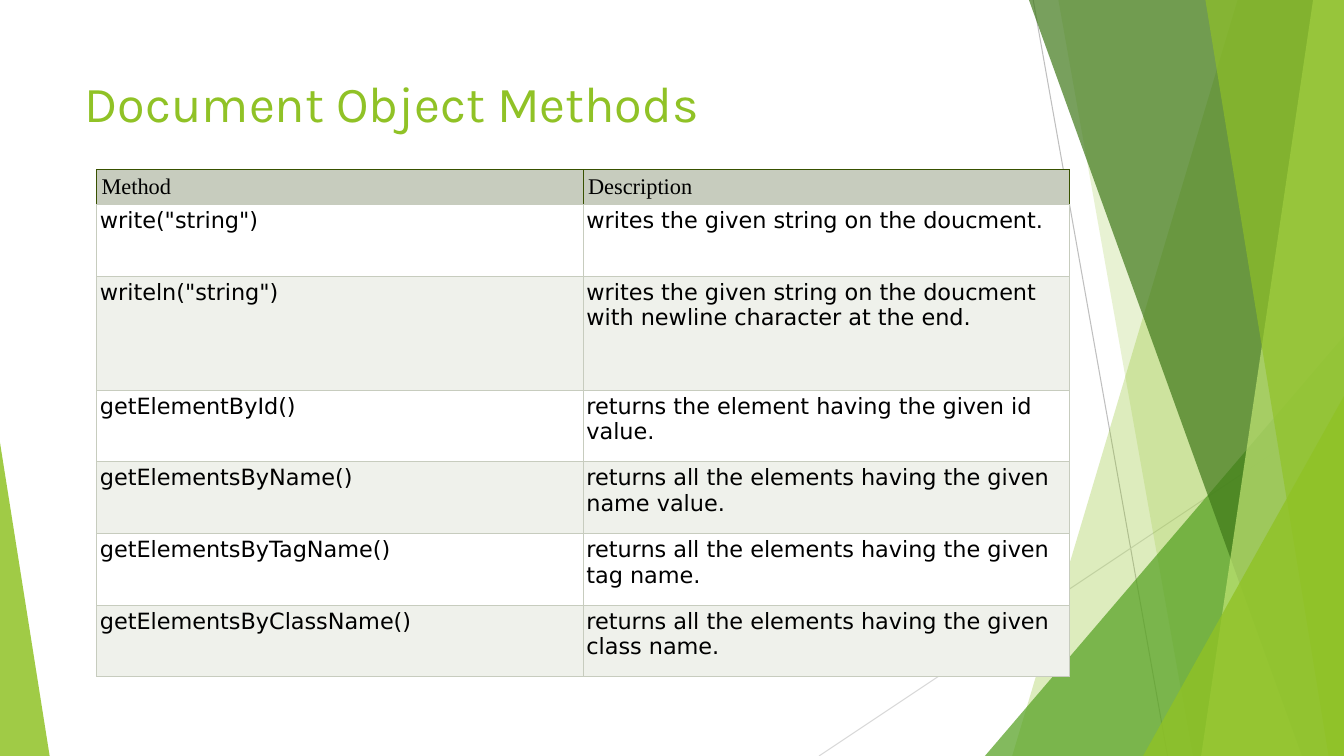
from dataclasses import dataclass

from lxml import etree
from pptx import Presentation
from pptx import util as u
from pptx.dml.color import RGBColor
from pptx.enum import shapes, text
from pptx.oxml import ns

Pt = u.Pt
WIDTH, HEIGHT = 960, 540


@dataclass(frozen=True)
class Theme:
    lime: str = "90C226"
    green: str = "54A021"
    forest: str = "3F7819"
    pale_lime: str = "C0E474"
    black: str = "000000"
    white: str = "FFFFFF"
    band: str = "EFF1EB"
    header: str = "C7CCBE"
    header_border: str = "385100"
    title_font: str = "Karla"
    header_font: str = "Times New Roman"
    body_font: str = "DejaVu Sans"
    title_size: int = 36
    table_size: int = 16


THEME = Theme()

HAIRLINES = [
    ((738, 0), (834, 540), "BFBFBF"),
    ((960, 290), (585, 540), "D9D9D9"),
]

# Facets reach the right edge: top x, bottom x, colour, opacity
# Corners are right triangles: left, top, width, apex position, colour, opacity
BACKDROP = [
    ("facet", 884, 723, THEME.lime, 30),
    ("facet", 756, 852, THEME.lime, 20),
    ("corner", 703.5, 240, 256.5, 1, THEME.green, 72),
    ("facet", 735, 930, THEME.forest, 70),
    ("facet", 938, 858, THEME.pale_lime, 70),
    ("facet", 861, 949, THEME.lime, 65),
    ("corner", 816.5, 283, 143.5, 1, THEME.lime, 80),
    ("corner", 0, 316, 35.5, 0, THEME.lime, 85),
]

METHODS = [
    ("Method", "Description"),
    ('write("string")', "writes the given string on the doucment."),
    ('writeln("string")',
     "writes the given string on the doucment with newline character at the end."),
    ("getElementById()", "returns the element having the given id value."),
    ("getElementsByName()", "returns all the elements having the given name value."),
    ("getElementsByTagName()", "returns all the elements having the given tag name."),
    ("getElementsByClassName()", "returns all the elements having the given class name."),
]
ROW_HEIGHTS = [24, 51.2, 81.4] + [51.2] * 4


def set_values(target, **values):
    for name, value in values.items():
        setattr(target, name, value)


def set_font(paragraph, font, size, color):
    set_values(paragraph.font, name=font, size=Pt(size))
    paragraph.font.color.rgb = RGBColor.from_string(color)


def add_hairline(slide, start, end, color):
    line = slide.shapes.add_connector(
        shapes.MSO_CONNECTOR.STRAIGHT, *[Pt(value) for value in start + end])
    line.line.width = Pt(0.75)
    line.line.color.rgb = RGBColor.from_string(color)
    etree.SubElement(line._element.spPr, ns.qn("a:effectLst"))


def fill_glass(shape, color, opacity):
    """Flat, partly transparent fill without an outline."""
    shape.shadow.inherit = False
    shape.line.fill.background()
    shape.fill.solid()
    shape.fill.fore_color.rgb = RGBColor.from_string(color)
    color_element = shape._element.spPr.find(ns.qn("a:solidFill"))[0]
    etree.SubElement(color_element, ns.qn("a:alpha"), val=str(opacity * 1000))


def add_facet(slide, top_x, bottom_x, color, opacity):
    builder = slide.shapes.build_freeform(Pt(top_x), 0)
    corners = [(WIDTH, 0), (WIDTH, HEIGHT), (bottom_x, HEIGHT)]
    builder.add_line_segments([(Pt(x), Pt(y)) for x, y in corners])
    fill_glass(builder.convert_to_shape(), color, opacity)


def add_corner(slide, left, top, width, apex, color, opacity):
    triangle = slide.shapes.add_shape(
        shapes.MSO_SHAPE.ISOSCELES_TRIANGLE,
        Pt(left), Pt(top), Pt(width), Pt(HEIGHT - top))
    triangle.adjustments[0] = apex
    fill_glass(triangle, color, opacity)


def add_backdrop(slide):
    for hairline in HAIRLINES:
        add_hairline(slide, *hairline)
    builders = {"facet": add_facet, "corner": add_corner}
    for kind, *values in BACKDROP:
        builders[kind](slide, *values)


def format_title(slide, wording):
    title = slide.shapes.title
    set_values(title, left=Pt(53.3), top=Pt(48), width=Pt(677), height=Pt(104))
    frame = title.text_frame
    frame.text = wording
    set_values(frame, vertical_anchor=text.MSO_ANCHOR.TOP, word_wrap=True,
               auto_size=text.MSO_AUTO_SIZE.NONE)
    paragraph = frame.paragraphs[0]
    paragraph.alignment = text.PP_ALIGN.LEFT
    set_font(paragraph, THEME.title_font, THEME.title_size, THEME.lime)


def add_borders(cell, colors):
    properties = cell._tc.get_or_add_tcPr()
    for side, color in zip("LRTB", colors):
        border = etree.SubElement(properties, ns.qn(f"a:ln{side}"), w=str(Pt(0.5)))
        fill = etree.SubElement(border, ns.qn("a:solidFill"))
        etree.SubElement(fill, ns.qn("a:srgbClr"), val=color)


def format_cell(cell, wording, row):
    is_header = row == 0
    inset = Pt(3.6 if is_header else 2.4)
    set_values(cell, text=wording, margin_left=inset, margin_right=inset,
               margin_top=inset, margin_bottom=inset)
    font = THEME.header_font if is_header else THEME.body_font
    set_font(cell.text_frame.paragraphs[0], font, THEME.table_size, THEME.black)
    edge = THEME.header_border if is_header else THEME.header
    add_borders(cell, [edge] * 3 + [THEME.header])
    band = THEME.white if row % 2 else THEME.band
    cell.fill.solid()
    cell.fill.fore_color.rgb = RGBColor.from_string(THEME.header if is_header else band)


def add_methods_table(slide):
    frame = slide.shapes.add_table(
        len(METHODS), 2, Pt(69), Pt(121), Pt(695), Pt(sum(ROW_HEIGHTS)))
    table = frame.table
    for column in table.columns:
        column.width = Pt(347.5)
    for row, (height, wordings) in enumerate(zip(ROW_HEIGHTS, METHODS)):
        table.rows[row].height = Pt(height)
        for column, wording in enumerate(wordings):
            format_cell(table.cell(row, column), wording, row)


def main():
    presentation = Presentation()
    set_values(presentation, slide_width=Pt(WIDTH), slide_height=Pt(HEIGHT))
    slide = presentation.slides.add_slide(presentation.slide_layouts[5])

    # Green facets behind the content
    add_backdrop(slide)

    # Title and table of methods
    format_title(slide, "Document Object Methods")
    add_methods_table(slide)

    presentation.save("out.pptx")


main()
